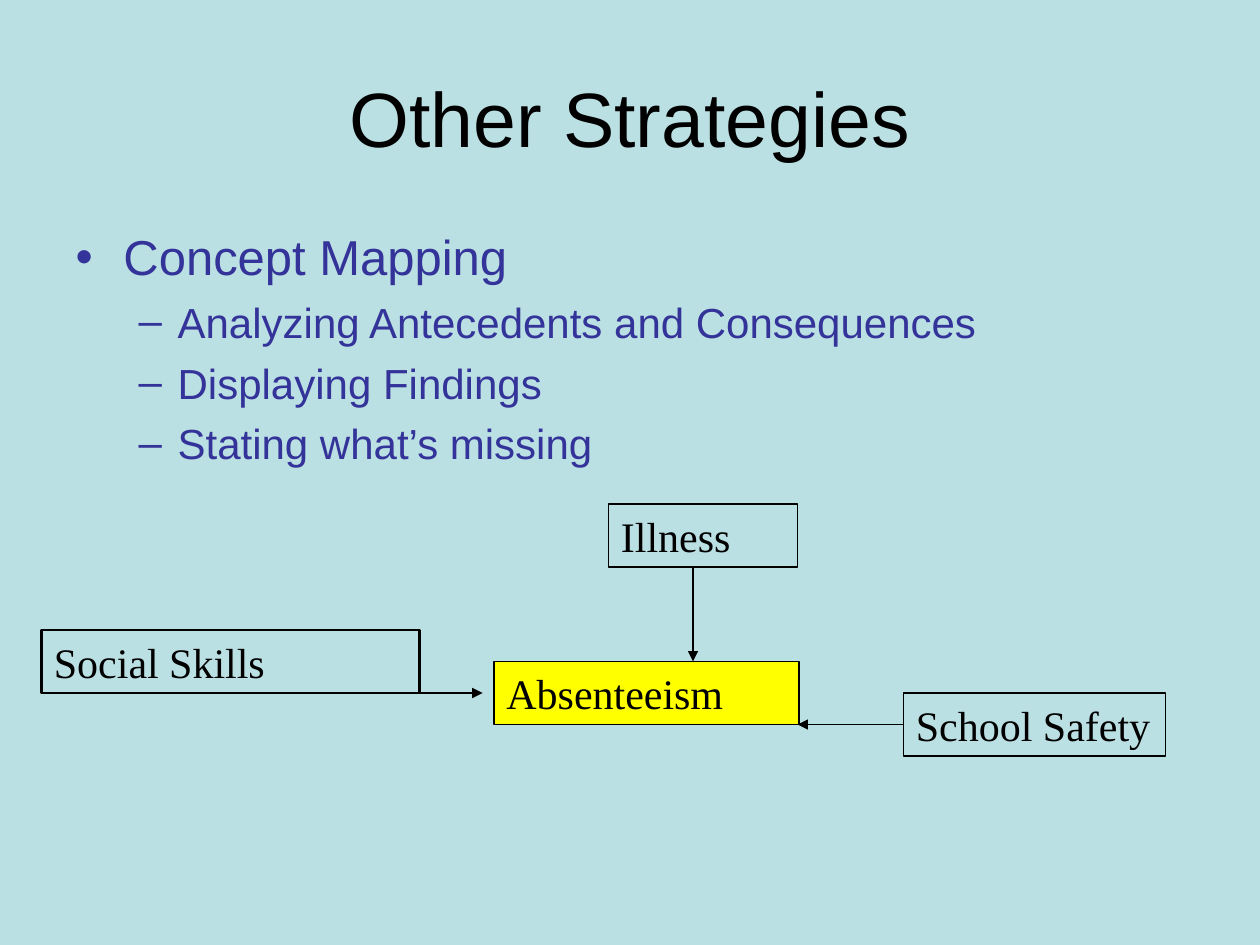
"""Build the "Other Strategies" concept mapping slide."""
import pptx
import pptx.dml.color
import pptx.enum.shapes
import pptx.enum.text
import pptx.oxml
import pptx.oxml.ns
import pptx.util

Inches, Pt = pptx.util.Inches, pptx.util.Pt
RGB = pptx.dml.color.RGBColor.from_string
ALIGN, ANCHOR = pptx.enum.text.PP_ALIGN, pptx.enum.text.MSO_ANCHOR
NSDECLS = pptx.oxml.ns.nsdecls("a")

THEME = {
    "background": "BBE0E3", "ink": "000000", "accent": "333399", "highlight": "FFFF00",
    "heading_font": "Arial", "box_font": "Times New Roman",
    "title_size": 44, "box_size": 24, "arrow_width": 0.75,
}
LEVELS = [
    {"size": 28, "bullet": "•", "indent": 0.38, "hanging": 0.38},
    {"size": 24, "bullet": "–", "indent": 0.81, "hanging": 0.31},
]

TITLE = "Other Strategies"
POINTS = [
    (0, "Concept Mapping"),
    (1, "Analyzing Antecedents and Consequences"),
    (1, "Displaying Findings"),
    (1, "Stating what’s missing"),
]
BOX_HEIGHT = 0.5
BOXES = [
    ("Absenteeism", 3.92, 5.25, 2.42, "highlight", 1),
    ("Social Skills", 0.33, 5, 3, None, 1.5),
    ("Illness", 4.83, 4, 1.5, None, 1),
    ("School Safety", 7.17, 5.5, 2.08, None, 1),
]
ARROWS = [
    ((3.33, 5.5), (3.83, 5.5)),
    ((5.5, 4.5), (5.5, 5.25)),
    ((7.17, 5.75), (6.33, 5.75)),
]


def place(s, left, top, width, height):
    s.left, s.top, s.width, s.height = map(Inches, (left, top, width, height))


def setup_frame(tf, anchor):
    tf.word_wrap = True
    tf.auto_size = pptx.enum.text.MSO_AUTO_SIZE.NONE
    tf.vertical_anchor = anchor


def format_runs(p, font, size, color):
    for r in p.runs:
        r.font.name, r.font.size = font, Pt(size)
        r.font.color.rgb = RGB(THEME[color])


def add_bullet(p, level):
    pPr = p._p.get_or_add_pPr()
    pPr.set("marL", str(Inches(level["indent"])))
    pPr.set("indent", str(-Inches(level["hanging"])))
    for xml in (
        f'<a:buClr {NSDECLS}><a:srgbClr val="{THEME["accent"]}"/></a:buClr>',
        f'<a:buFont {NSDECLS} typeface="{THEME["heading_font"]}"/>',
        f'<a:buChar {NSDECLS} char="{level["bullet"]}"/>',
    ):
        pPr.append(pptx.oxml.parse_xml(xml))


def fill_title(s):
    place(s, 0.5, 0.3, 9, 1.25)
    tf = s.text_frame
    tf.text = TITLE
    setup_frame(tf, ANCHOR.MIDDLE)
    p = tf.paragraphs[0]
    p.alignment = ALIGN.CENTER
    format_runs(p, THEME["heading_font"], THEME["title_size"], "ink")


def fill_body(s):
    place(s, 0.5, 1.75, 9, 4.95)
    tf = s.text_frame
    tf.text = "\n".join(text for _, text in POINTS)
    setup_frame(tf, ANCHOR.TOP)
    for i, (p, (depth, _)) in enumerate(zip(tf.paragraphs, POINTS)):
        level = LEVELS[depth]
        p.level = depth
        add_bullet(p, level)
        p.space_before = Pt(6 if i else 0)
        format_runs(p, THEME["heading_font"], level["size"], "accent")


def add_box(shapes, text, left, top, width, fill, line_width):
    s = shapes.add_shape(pptx.enum.shapes.MSO_SHAPE.RECTANGLE,
                         *map(Inches, (left, top, width, BOX_HEIGHT)))
    s.shadow.inherit = False
    if fill:
        s.fill.solid()
        s.fill.fore_color.rgb = RGB(THEME[fill])
    else:
        s.fill.background()
    s.line.color.rgb = RGB(THEME["ink"])
    s.line.width = Pt(line_width)
    tf = s.text_frame
    tf.text = text
    setup_frame(tf, ANCHOR.TOP)
    p = tf.paragraphs[0]
    p.alignment = ALIGN.LEFT
    format_runs(p, THEME["box_font"], THEME["box_size"], "ink")


def add_arrow(shapes, start, end):
    s = shapes.add_connector(pptx.enum.shapes.MSO_CONNECTOR.STRAIGHT,
                             *map(Inches, start + end))
    s.line.color.rgb = RGB(THEME["ink"])
    s.line.width = Pt(THEME["arrow_width"])
    s.line._get_or_add_ln().append(
        pptx.oxml.parse_xml(f'<a:tailEnd {NSDECLS} type="triangle"/>'))
    s._element.spPr.append(pptx.oxml.parse_xml(f"<a:effectLst {NSDECLS}/>"))


def main():
    prs = pptx.Presentation()
    prs.slide_width, prs.slide_height = Inches(10), Inches(7.5)
    slide = prs.slides.add_slide(prs.slide_layouts[1])
    slide.background.fill.solid()
    slide.background.fill.fore_color.rgb = RGB(THEME["background"])
    fill_title(slide.shapes.title)
    fill_body(slide.placeholders[1])
    for box in BOXES:
        add_box(slide.shapes, *box)
    for start, end in ARROWS:
        add_arrow(slide.shapes, start, end)
    prs.save("out.pptx")


if __name__ == "__main__":
    main()
